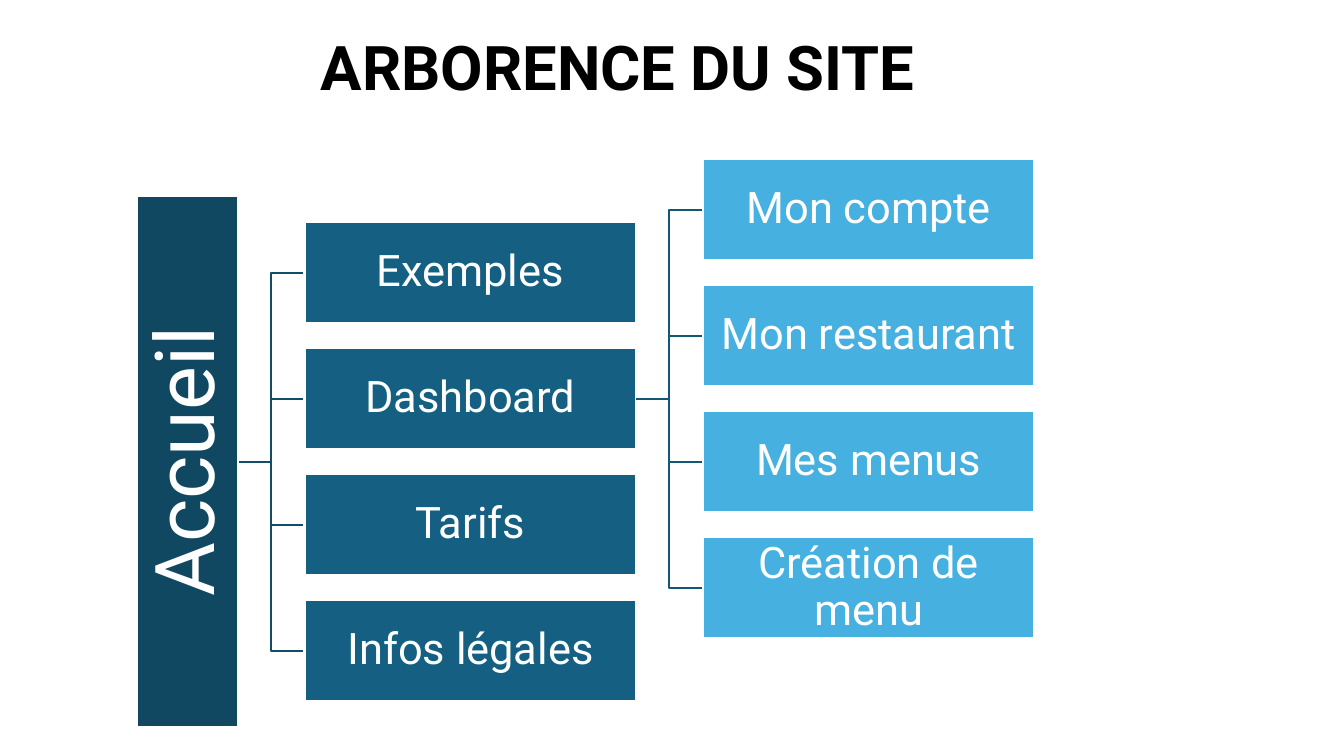
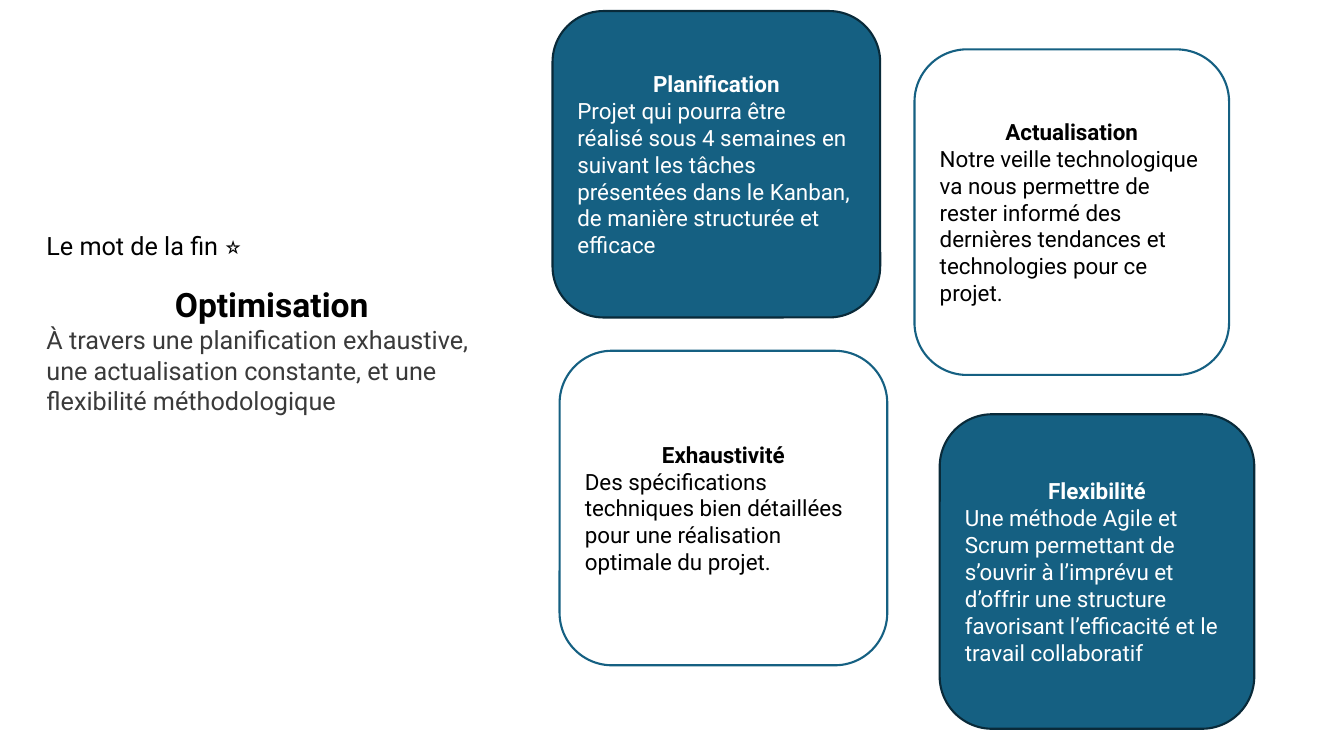
from pptx import Presentation
from pptx.dml.color import RGBColor
from pptx.enum.shapes import MSO_CONNECTOR, MSO_SHAPE
from pptx.enum.text import MSO_ANCHOR, MSO_AUTO_SIZE, PP_ALIGN
from pptx.oxml.ns import qn
from pptx.util import Inches, Pt
from lxml import etree

FONT = "Roboto"
WHITE = RGBColor(0xFF, 0xFF, 0xFF)
BLACK = RGBColor(0, 0, 0)
GREY = RGBColor(0x3A, 0x3A, 0x3A)
NAVY = RGBColor(0x10, 0x48, 0x62)
BLUE = RGBColor(0x15, 0x60, 0x82)
SKY = RGBColor(0x46, 0xB1, 0xE1)
DARK_EDGE = RGBColor(0x09, 0x2A, 0x39)
ROOT_LINK = RGBColor(0x11, 0x4D, 0x68)
BRANCH_LINK = RGBColor(0x13, 0x57, 0x76)
LEFT, CENTER = PP_ALIGN.LEFT, PP_ALIGN.CENTER
LINE_WIDTH = Pt(1.5)

SITE_TITLE = "ARBORENCE DU SITE"
ROOT = "Accueil"
PAGES = ["Exemples", "Dashboard", "Tarifs", "Infos légales"]
PARENT_PAGE = "Dashboard"
SUBPAGES = ["Mon compte", "Mon restaurant", "Mes menus", "Création de menu"]

END_TITLE = "Le mot de la fin ⭐"
SUMMARY = ("Optimisation", "À travers une planification exhaustive, une actualisation "
           "constante, et une flexibilité méthodologique")
# (left, top, width, height), filled, heading, paragraphs
CARDS = [
    ((5.48, 0.11, 3.25, 3.04), True, "Planification",
     ["Projet qui pourra être réalisé sous 4 semaines en suivant les tâches présentées "
      "dans le Kanban, de manière structurée et efficace"]),
    ((9.07, 0.49, 3.12, 3.23), False, "Actualisation",
     ["Notre veille technologique va nous permettre de rester informé des dernières "
      "tendances et", "technologies pour ce projet."]),
    ((5.55, 3.48, 3.25, 3.12), False, "Exhaustivité",
     ["Des spécifications techniques bien détaillées pour une réalisation optimale "
      "du projet."]),
    ((9.32, 4.11, 3.12, 3.12), True, "Flexibilité",
     ["Une méthode Agile et Scrum permettant de s’ouvrir à l’imprévu et d’offrir une "
      "structure favorisant l’efficacité et le travail collaboratif"]),
]

NODE_W, NODE_H, NODE_PITCH = 3.29, 1, 1.25
LEVEL_GAP = 0.66
ROOT_LEFT, ROOT_LENGTH, ROOT_CENTER = 1.36, 5.27, 4.58


def write(tf, paragraphs, anchor=MSO_ANCHOR.TOP, spacing=1.0):
    """Fill a text frame from (text, size, colour, bold, alignment) tuples."""
    tf.word_wrap = True
    tf.auto_size = MSO_AUTO_SIZE.NONE
    tf.vertical_anchor = anchor
    for i, (text, size, color, bold, align) in enumerate(paragraphs):
        p = tf.paragraphs[0] if i == 0 else tf.add_paragraph()
        p.alignment, p.line_spacing = align, spacing
        p.space_before = p.space_after = Pt(0)
        r = p.add_run()
        r.text = text
        for name, value in {"name": FONT, "size": Pt(size), "bold": bold}.items():
            setattr(r.font, name, value)
        r.font.color.rgb = color


def place(sp, left, top, width, height):
    sp.left, sp.top = Inches(left), Inches(top)
    sp.width, sp.height = Inches(width), Inches(height)


def set_title(s, text, box, size, bold, spacing):
    place(s.shapes.title, *box)
    write(s.shapes.title.text_frame, [(text, size, BLACK, bold, LEFT)], spacing=spacing)


def add_box(s, kind, box, fill, edge):
    sp = s.shapes.add_shape(kind, *map(Inches, box))
    sp.shadow.inherit = False
    sp.fill.solid()
    sp.fill.fore_color.rgb = fill
    sp.line.color.rgb = edge
    sp.line.width = LINE_WIDTH
    return sp


def add_node(s, text, box, fill, size=31, inset=0.02):
    sp = add_box(s, MSO_SHAPE.RECTANGLE, box, fill, WHITE)
    tf = sp.text_frame
    for side in ("left", "top", "right", "bottom"):
        setattr(tf, f"margin_{side}", Inches(inset))
    write(tf, [(text, size, WHITE, False, CENTER)], MSO_ANCHOR.MIDDLE, 0.9)
    return sp


def add_link(s, x, y, child_y, color):
    link = s.shapes.add_connector(MSO_CONNECTOR.ELBOW, Inches(x), Inches(y),
                                  Inches(x + LEVEL_GAP), Inches(child_y))
    link.line.color.rgb = color
    link.line.width = LINE_WIDTH
    etree.SubElement(link._element.spPr, qn("a:effectLst"))


def add_level(s, names, parent_right, parent_y, fill, link_color):
    """Add a column of nodes centred on its parent; return the centre of each."""
    first = parent_y - (len(names) - 1) / 2 * NODE_PITCH
    centers = {name: first + i * NODE_PITCH for i, name in enumerate(names)}
    for y in centers.values():
        add_link(s, parent_right, parent_y, y, link_color)
    for name, y in centers.items():
        add_node(s, name, (parent_right + LEVEL_GAP, y - NODE_H / 2, NODE_W, NODE_H), fill)
    return centers


def build_site_map(prs):
    s = prs.slides.add_slide(prs.slide_layouts.get_by_name("Title Only"))
    set_title(s, SITE_TITLE, (3.08, 0.32, 7.19, 1.45), 44, True, 0.9)
    root_right = ROOT_LEFT + NODE_H
    centers = add_level(s, PAGES, root_right, ROOT_CENTER, BLUE, ROOT_LINK)
    pages_right = root_right + LEVEL_GAP + NODE_W
    add_level(s, SUBPAGES, pages_right, centers[PARENT_PAGE], SKY, BRANCH_LINK)
    root_box = (ROOT_LEFT + (NODE_H - ROOT_LENGTH) / 2, ROOT_CENTER - NODE_H / 2,
                ROOT_LENGTH, NODE_H)
    add_node(s, ROOT, root_box, NAVY, 59, 0.04).rotation = 270


def build_closing(prs):
    s = prs.slides.add_slide(prs.slide_layouts.get_by_name("Title and Content"))
    set_title(s, END_TITLE, (0.36, 2.23, 6.66, 0.4), 18, False, 1.0)
    body = s.placeholders[1]
    place(body, 0.36, 2.77, 4.67, 1.41)
    heading, text = SUMMARY
    write(body.text_frame, [(heading, 24, BLACK, True, CENTER), (text, 18, GREY, False, LEFT)])
    for p in body.text_frame.paragraphs:
        pPr = p._p.get_or_add_pPr()
        pPr.set("marL", "0")
        pPr.set("indent", "0")
        etree.SubElement(pPr, qn("a:buNone"))
    for box, filled, heading, texts in CARDS:
        fill, edge, color = (BLUE, DARK_EDGE, WHITE) if filled else (WHITE, BLUE, BLACK)
        card = add_box(s, MSO_SHAPE.ROUNDED_RECTANGLE, box, fill, edge)
        write(card.text_frame, [(heading, 16, color, True, CENTER)]
              + [(text, 16, color, False, LEFT) for text in texts], MSO_ANCHOR.MIDDLE)


def main():
    prs = Presentation()
    prs.slide_width, prs.slide_height = Inches(13.33), Inches(7.5)
    build_site_map(prs)
    build_closing(prs)
    prs.save("out.pptx")


if __name__ == "__main__":
    main()
